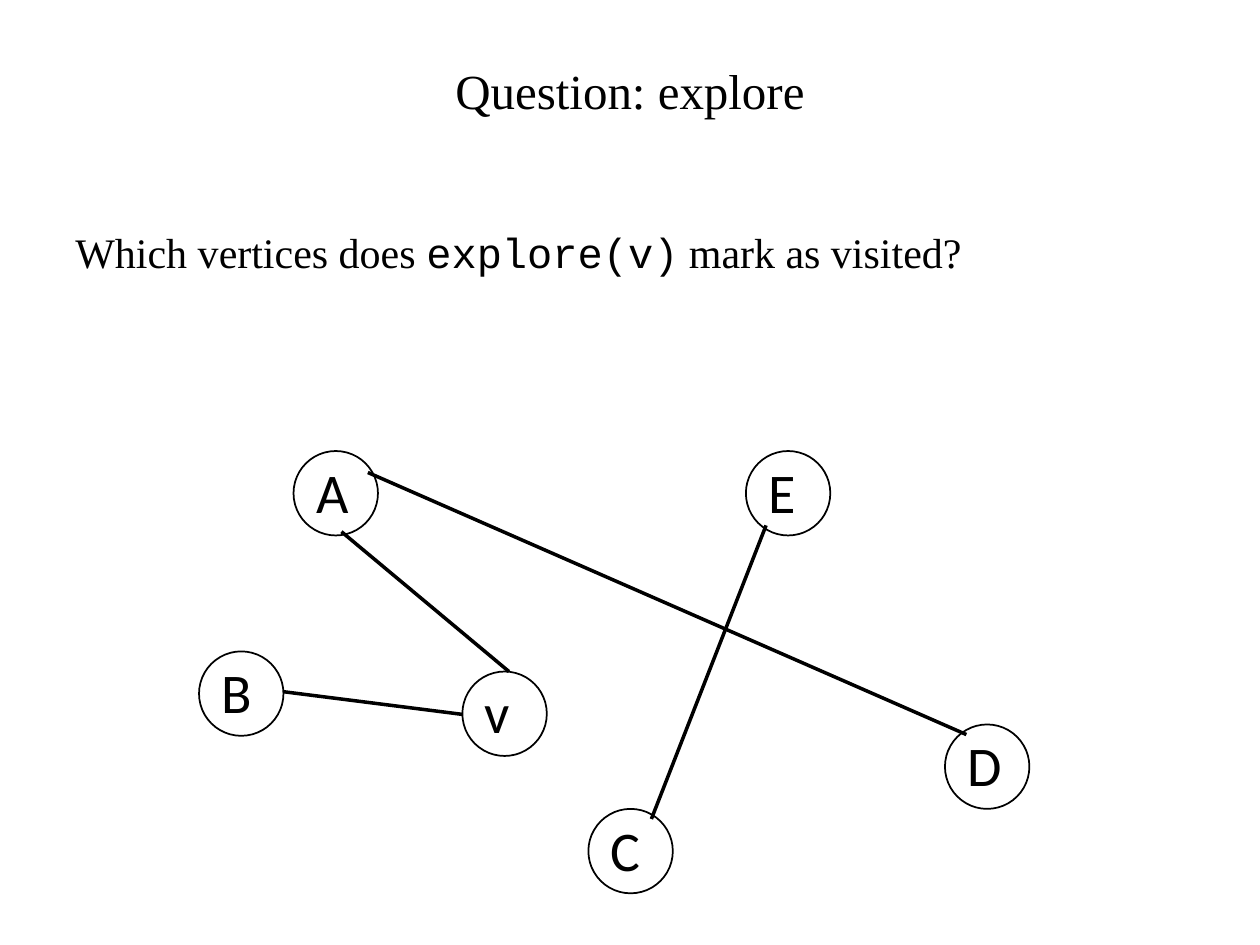
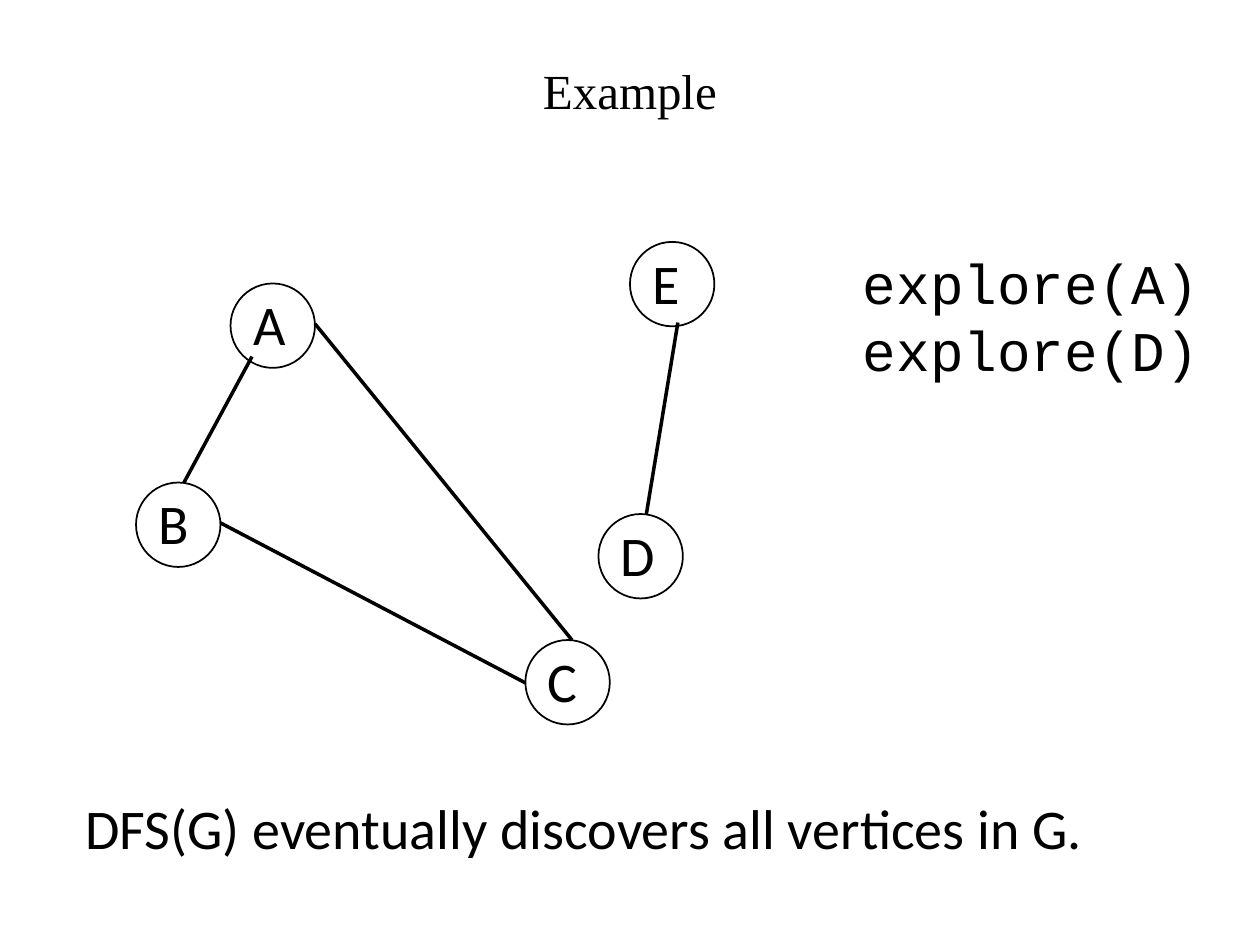
from lxml import etree
from pptx import Presentation
from pptx.dml.color import RGBColor
from pptx.enum.shapes import MSO_CONNECTOR, MSO_SHAPE
from pptx.enum.text import MSO_ANCHOR, PP_ALIGN
from pptx.oxml.ns import qn
from pptx.util import Inches, Pt

# Content: text boxes are (left, top, width, height), size, paragraphs of (text, font) runs
SERIF, SANS, MONO = "Times New Roman", "Calibri", "Courier New"

SLIDES = [
    {
        "title": "Question: explore",
        "texts": [
            ((0.5, 1.75, 9, 1.33), 24, [
                [("Which vertices does ", SERIF), ("explore(v)", MONO),
                 (" mark as visited?", SERIF)],
            ]),
        ],
        "vertices": {"A": (2.33, 3.58), "B": (1.58, 5.17), "C": (4.67, 6.42),
                     "E": (5.92, 3.58), "D": (7.5, 5.75), "v": (3.67, 5.33)},
        "edges": {"CE": (5.17, 6.5, 6.08, 4.17), "Bv": (2.25, 5.49, 3.67, 5.67),
                  "vA": (4.04, 5.33, 2.71, 4.22), "DA": (7.67, 5.83, 2.92, 3.75)},
    },
    {
        "title": "Example",
        "texts": [
            ((6.75, 1.92, 2.92, 1.17), 32, [[("explore(A)", MONO)], [("explore(D)", MONO)]]),
            ((0.58, 6.25, 8.83, 0.64), 32,
             [[("DFS(G) eventually discovers all vertices in G.", SANS)]]),
        ],
        "vertices": {"A": (1.83, 2.25), "B": (1.08, 3.83), "C": (4.17, 5.08),
                     "E": (5, 1.92), "D": (4.75, 4.08)},
        "edges": {"DE": (5.13, 4.08, 5.38, 2.56), "BC": (1.75, 4.15, 4.17, 5.42),
                  "CA": (4.54, 5.08, 2.5, 2.57), "BA": (1.46, 3.83, 2, 2.83)},
    },
]

# Shared style
BLACK = RGBColor(0x00, 0x00, 0x00)
TITLE_PLACE = (0.75, 0.42, 8.5, 0.58)
DIAMETER = 0.67
LABEL_INDENT = 0.08
LABEL_SIZE = (0.58, 0.64)


def add_text(page, place, size, paragraphs, align=PP_ALIGN.LEFT, anchor=MSO_ANCHOR.TOP):
    frame = page.shapes.add_textbox(*map(Inches, place)).text_frame
    frame.word_wrap = True
    frame.vertical_anchor = anchor
    for number, spans in enumerate(paragraphs):
        para = frame.add_paragraph() if number else frame.paragraphs[0]
        para.alignment = align
        para.font.size = Pt(size)
        para.font.color.rgb = BLACK
        for text, font in spans:
            span = para.add_run()
            span.text = text
            span.font.name = font


def add_vertex(page, name, left, top):
    circle = page.shapes.add_shape(
        MSO_SHAPE.OVAL, *map(Inches, (left, top, DIAMETER, DIAMETER)))
    circle.shadow.inherit = False
    circle.fill.background()
    circle.line.color.rgb = BLACK
    circle.line.width = Pt(1)
    add_text(page, (left + LABEL_INDENT, top, *LABEL_SIZE), 32, [[(name, SANS)]])


def add_edge(page, ends):
    edge = page.shapes.add_connector(MSO_CONNECTOR.STRAIGHT, *map(Inches, ends))
    edge.line.color.rgb = BLACK
    edge.line.width = Pt(2)
    etree.SubElement(edge._element.spPr, qn("a:effectLst"))


def main():
    deck = Presentation()
    deck.slide_width, deck.slide_height = Inches(10), Inches(7.5)
    for content in SLIDES:
        page = deck.slides.add_slide(deck.slide_layouts[6])
        add_text(page, TITLE_PLACE, 28, [[(content["title"], SERIF)]],
                 PP_ALIGN.CENTER, MSO_ANCHOR.MIDDLE)
        # Graph
        for name, (left, top) in content["vertices"].items():
            add_vertex(page, name, left, top)
        for ends in content["edges"].values():
            add_edge(page, ends)
        # Question and remarks
        for place, size, paragraphs in content["texts"]:
            add_text(page, place, size, paragraphs)
    deck.save("out.pptx")


if __name__ == "__main__":
    main()
